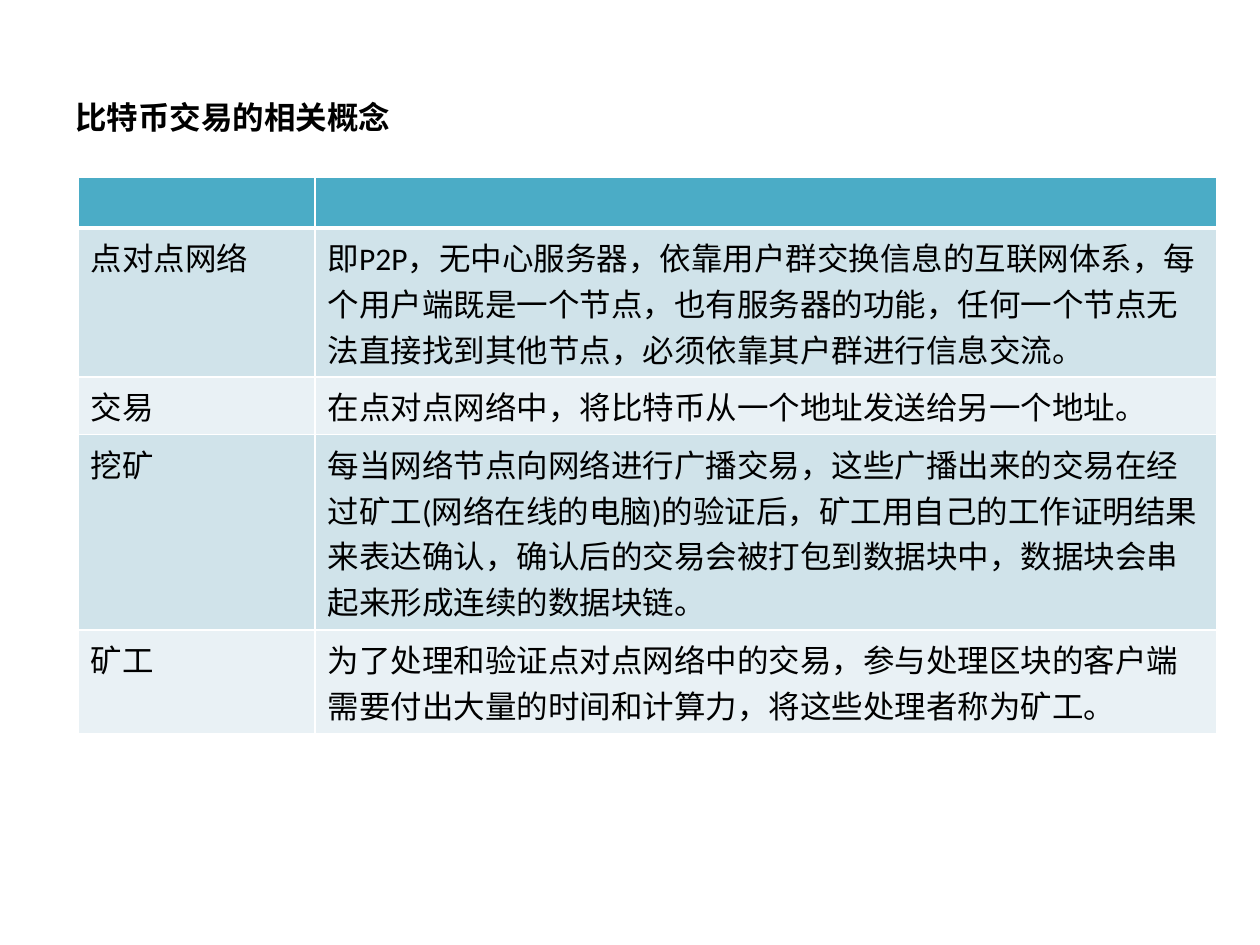
"""Build a slide with a table of terms about bitcoin transactions."""
from dataclasses import dataclass
from typing import NamedTuple

from lxml import etree
from pptx import Presentation
from pptx.dml.color import RGBColor
from pptx.enum.text import MSO_ANCHOR
from pptx.oxml.ns import qn
from pptx.util import Inches, Pt

MIDDLE = MSO_ANCHOR.MIDDLE


@dataclass(frozen=True)
class Theme:
    text: str = "000000"
    header: str = "4BACC6"
    bands: tuple[str, str] = ("D0E3EA", "E9F1F5")
    border: str = "FFFFFF"
    latin: str = "Calibri"
    chinese: str = "Noto Sans CJK SC"
    size: float = 18
    thin: float = 1
    thick: float = 3


class Concept(NamedTuple):
    term: str
    meaning: str
    height: float


THEME = Theme()
COLUMN_WIDTHS = (1.88, 7.16)
HEADER = Concept("", "", 0.4)
CONCEPTS = (
    Concept("点对点网络", "即P2P，无中心服务器，依靠用户群交换信息的互联网体系，"
            "每个用户端既是一个节点，也有服务器的功能，任何一个节点"
            "无法直接找到其他节点，必须依靠其户群进行信息交流。", 1.18),
    Concept("交易", "在点对点网络中，将比特币从一个地址发送给另一个地址。", 0.46),
    Concept("挖矿", "每当网络节点向网络进行广播交易，这些广播出来的交易在经"
            "过矿工(网络在线的电脑)的验证后，矿工用自己的工作证明结"
            "果来表达确认，确认后的交易会被打包到数据块中，数据块会"
            "串起来形成连续的数据块链。", 1.55),
    Concept("矿工", "为了处理和验证点对点网络中的交易，参与处理区块的客户端"
            "需要付出大量的时间和计算力，将这些处理者称为矿工。", 0.82),
)


def write(frame, text: str, *, font: str = THEME.latin, bold: bool = False) -> None:
    """Write one formatted run into a text frame."""
    frame.word_wrap = True
    run = frame.paragraphs[0].add_run()
    run.text = text
    run.font.name = font
    run.font.size = Pt(THEME.size)
    run.font.bold = bold
    run.font.color.rgb = RGBColor.from_string(THEME.text)
    east_asian = etree.SubElement(run.font._element, qn("a:ea"))
    east_asian.set("typeface", THEME.chinese)


def style_cell(cell, fill: str, *, top: float, bottom: float) -> None:
    """Fill a cell and draw its four borders."""
    cell.fill.solid()
    cell.fill.fore_color.rgb = RGBColor.from_string(fill)
    properties = cell._tc.get_or_add_tcPr()
    widths = {"lnL": THEME.thin, "lnR": THEME.thin, "lnT": top, "lnB": bottom}
    for position, (side, width) in enumerate(widths.items()):
        line = etree.Element(qn(f"a:{side}"), w=str(Pt(width)))
        solid = etree.SubElement(line, qn("a:solidFill"))
        etree.SubElement(solid, qn("a:srgbClr"), val=THEME.border)
        properties.insert(position, line)


def add_heading(slide, text: str) -> None:
    """Add the slide heading."""
    heading = slide.shapes.add_textbox(Inches(0.5), Inches(0.3), Inches(9), Inches(1.25))
    heading.text_frame.vertical_anchor = MIDDLE
    write(heading.text_frame, text, font=THEME.chinese, bold=True)


def add_concepts(slide, concepts: tuple[Concept, ...]) -> None:
    """Add the banded table below an empty header row."""
    rows = (HEADER, *concepts)
    table = slide.shapes.add_table(
        len(rows), len(COLUMN_WIDTHS), Inches(0.62), Inches(1.41),
        Inches(sum(COLUMN_WIDTHS)), Inches(sum(row.height for row in rows))).table
    for column, width in zip(table.columns, COLUMN_WIDTHS):
        column.width = Inches(width)
    for index, concept in enumerate(rows):
        table.rows[index].height = Inches(concept.height)
        fill = THEME.bands[(index - 1) % 2] if index else THEME.header
        top = THEME.thick if index == 1 else THEME.thin
        bottom = THEME.thin if index else THEME.thick
        for cell, text in zip(table.rows[index].cells, (concept.term, concept.meaning)):
            style_cell(cell, fill, top=top, bottom=bottom)
            if text:
                write(cell.text_frame, text)


def main() -> None:
    """Build and save the presentation."""
    presentation = Presentation()
    presentation.slide_width = Inches(10)
    presentation.slide_height = Inches(7.5)
    slide = presentation.slides.add_slide(presentation.slide_layouts[6])
    add_heading(slide, "比特币交易的相关概念")
    add_concepts(slide, CONCEPTS)
    presentation.save("out.pptx")


main()
